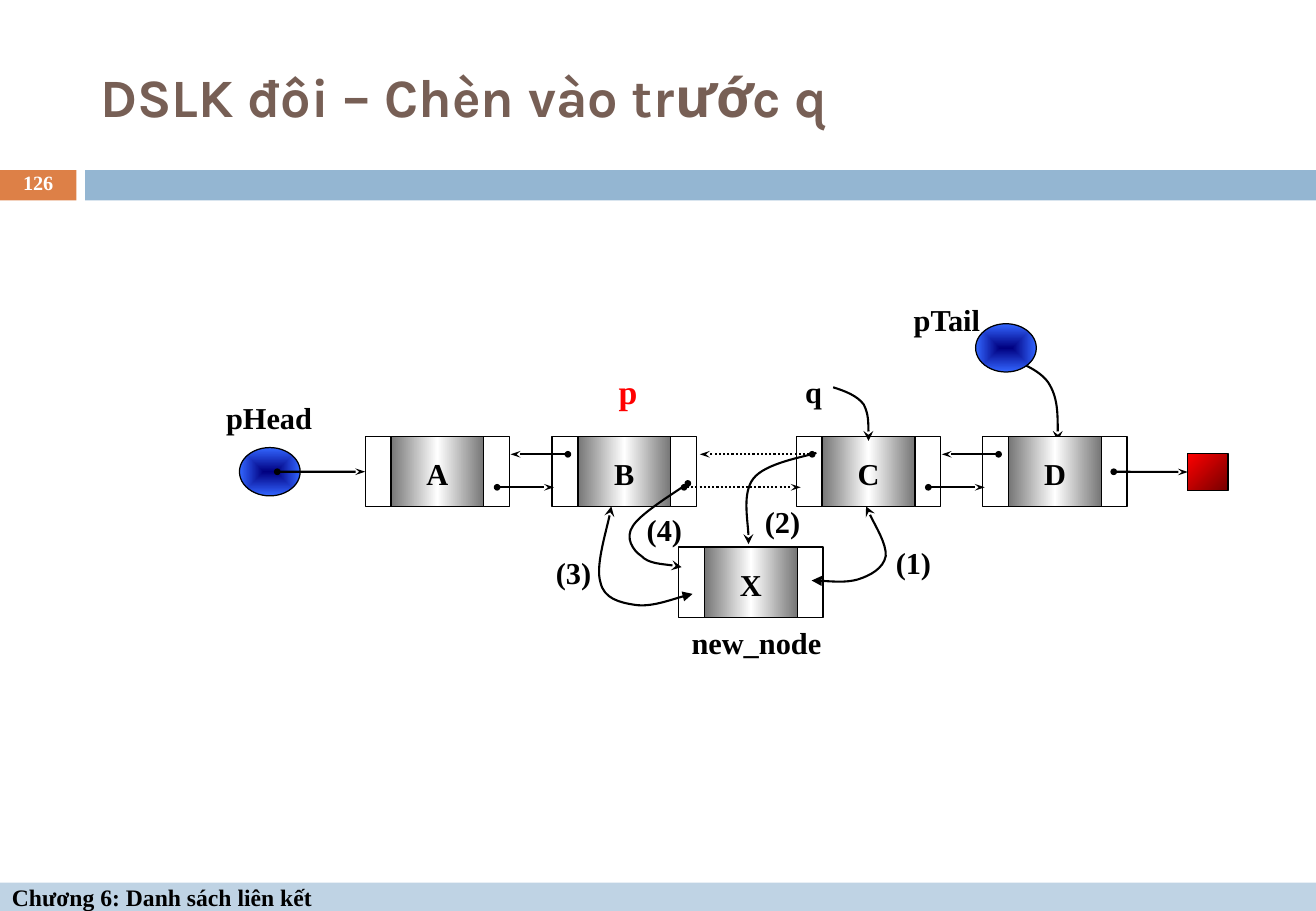
from lxml import etree
from pptx import Presentation
from pptx.dml.color import RGBColor
from pptx.enum.dml import MSO_LINE
from pptx.enum.shapes import MSO_CONNECTOR, MSO_SHAPE
from pptx.enum.text import MSO_ANCHOR, PP_ALIGN
from pptx.oxml.ns import qn
from pptx.util import Cm, Pt

RECTANGLE, OVAL = MSO_SHAPE.RECTANGLE, MSO_SHAPE.OVAL
STRAIGHT = MSO_CONNECTOR.STRAIGHT
DOTTED = MSO_LINE.ROUND_DOT
MIDDLE = MSO_ANCHOR.MIDDLE
LEFT, CENTER = PP_ALIGN.LEFT, PP_ALIGN.CENTER
LEFT_SIDE = 1

SERIF = {"name": "Times New Roman", "bold": True}
BLACK, WHITE = "000000", "FFFFFF"
STEEL = ([(0, "767676"), (50, WHITE), (100, "767676")], 0)
BLUE_GLOW = ([(0, "000080"), (100, "3366FF")], None)
RED_FADE = ([(0, "FF0000"), (100, "760000")], 45)

# Measures in cm
PADDING = (0.25, 0.13, 0.25, 0.13)
CELL, DATA, NODE_HEIGHT = 0.54, 1.94, 1.47
ROW_TOP = 3.13
ROW_MIDDLE = ROW_TOP + NODE_HEIGHT / 2


def color(value):
    return RGBColor.from_string(value)


def write_text(shape, text, size, ink=BLACK, align=CENTER, margins=(0, 0, 0, 0), font=SERIF):
    frame = shape.text_frame
    frame.word_wrap = True
    frame.vertical_anchor = MIDDLE
    for side, margin in zip(("left", "top", "right", "bottom"), margins):
        setattr(frame, f"margin_{side}", Cm(margin))
    para = frame.paragraphs[0]
    para.alignment = align
    span = para.add_run()
    span.text = text
    for key, value in {**font, "size": Pt(size)}.items():
        setattr(span.font, key, value)
    span.font.color.rgb = color(ink)
    return para


def add_text(page, box, text, size, **options):
    return write_text(page.shapes.add_textbox(*map(Cm, box)), text, size, **options)


def set_gradient(shape, stops, angle):
    """A straight gradient at an angle, or one from the centre if angle is None."""
    shape.fill.gradient()
    gradient = shape._element.spPr.find(qn("a:gradFill"))
    for child in list(gradient):
        gradient.remove(child)
    stop_list = etree.SubElement(gradient, qn("a:gsLst"))
    for position, value in stops:
        stop = etree.SubElement(stop_list, qn("a:gs"), pos=str(position * 1000))
        etree.SubElement(stop, qn("a:srgbClr"), val=value)
    if angle is None:
        glow = etree.SubElement(gradient, qn("a:path"), {"path": "rect"})
        etree.SubElement(glow, qn("a:fillToRect"), {side: "50000" for side in "ltrb"})
    else:
        etree.SubElement(gradient, qn("a:lin"), ang=str(angle * 60000), scaled="0")


def add_block(page, kind, box, fill=None, outlined=True):
    shape = page.shapes.add_shape(kind, *map(Cm, box))
    shape.shadow.inherit = False
    if fill is None:
        shape.fill.background()
    elif isinstance(fill, tuple):
        set_gradient(shape, *fill)
    else:
        shape.fill.solid()
        shape.fill.fore_color.rgb = color(fill)
    if outlined:
        shape.line.color.rgb = color(BLACK)
        shape.line.width = Pt(0.75)
    else:
        shape.line.fill.background()
    return shape


def style_arrow(shape, head, tail_width, dash=None):
    shape.line.color.rgb = color(BLACK)
    shape.line.width = Pt(1.25)
    if dash is not None:
        shape.line.dash_style = dash
    outline = shape._element.spPr.find(qn("a:ln"))
    head_size = "sm" if head == "oval" else "med"
    etree.SubElement(outline, qn("a:headEnd"), type=head, w=head_size, len=head_size)
    etree.SubElement(outline, qn("a:tailEnd"), type="stealth", w=tail_width, len="med")


def add_link(page, start, end, dash=None, target=None):
    link = page.shapes.add_connector(STRAIGHT, *map(Cm, start + end))
    if target is not None:
        link.end_connect(target, LEFT_SIDE)
    style_arrow(link, "oval", "sm", dash)
    etree.SubElement(link._element.spPr, qn("a:effectLst"))


def add_curve(page, origin, points, head="none"):
    """Cubic curves: a start point, then two controls and an end for each piece."""
    points = [(Cm(origin[0] + x), Cm(origin[1] + y)) for x, y in points]
    anchors = points[::3]
    builder = page.shapes.build_freeform(*anchors[0])
    builder.add_line_segments(anchors[1:], close=False)
    curve = builder.convert_to_shape()
    curve.shadow.inherit = False
    curve.fill.background()
    # Turn each straight piece into a cubic one
    for index, piece in enumerate(list(curve._element.iter(qn("a:lnTo")))):
        piece.tag = qn("a:cubicBezTo")
        end = piece[0]
        for x, y in points[3 * index + 1:3 * index + 3]:
            control = etree.Element(qn("a:pt"), x=str(x - curve.left), y=str(y - curve.top))
            end.addprevious(control)
    style_arrow(curve, head, "med")


def add_node(page, left, top, name, cell_fill=None):
    """Draws previous, data and next cells; returns the first of them."""
    cells = [add_block(page, RECTANGLE, (x, top, CELL, NODE_HEIGHT), cell_fill)
             for x in (left, left + CELL + DATA)]
    data = add_block(page, RECTANGLE, (left + CELL, top, DATA, NODE_HEIGHT), STEEL)
    write_text(data, name, 18, margins=(0, 0.08, 0, 0))
    return cells[0]


def draw_header(page, box):
    left, top, width, height = box
    add_text(page, (left + 1.85, top + 0.64, 24.54, 2.74), "DSLK đôi – Chèn vào trước q", 32,
             ink="775F55", align=LEFT, margins=PADDING, font={"name": "Karla", "bold": True})
    bar_top = top + height - 0.63
    for x, bar_width, fill in ((0, 1.6, "DD8047"), (1.78, width - 1.78, "94B6D2")):
        add_block(page, RECTANGLE, (left + x, bar_top, bar_width, 0.63), fill, outlined=False)
    number = add_text(page, (left, bar_top - 0.03, 1.6, 0.67), "126", 12, ink=WHITE, margins=PADDING)
    number.line_spacing = 0.8


def draw_footer(page, box):
    bar = add_block(page, RECTANGLE, box, "BFD3E4", outlined=False)
    write_text(bar, "Chương 6: Danh sách liên kết", 14, align=LEFT, margins=PADDING)


def draw_list(page, box):
    left, top = box[:2]

    def at(x, y):
        return left + x, top + y

    # Tail pointer's curve lies behind node D
    add_curve(page, (left, top), [(16.9, 1.42), (17.31, 1.57), (17.72, 1.72), (17.92, 2.0),
                                  (18.12, 2.31), (18.12, 2.76), (18.12, 3.22)])

    # Nodes
    node_lefts = {"A": 3.63, "B": 7.54, "C": 12.65, "D": 16.55}
    first_cells = {name: add_node(page, *at(x, ROW_TOP), name) for name, x in node_lefts.items()}
    add_node(page, *at(10.19, 5.44), "X", WHITE)
    null_end = add_block(page, RECTANGLE, (*at(20.84, 3.48), 0.84, 0.78), RED_FADE)
    add_block(page, OVAL, (*at(1.0, 3.36), 1.27, 1.01), BLUE_GLOW)

    # Next and previous links; the pair between B and C is being replaced
    names = list(node_lefts)
    for name, following in zip(names, names[1:]):
        x, next_x = node_lefts[name], node_lefts[following]
        dash, slack = (DOTTED, 0.05) if name == "B" else (None, 0)
        add_link(page, at(x + 2.76, 4.19), at(next_x + 0.04 + slack, 4.19), dash)
        add_link(page, at(next_x + 0.33, 3.5), at(x + 3.04 + slack, 3.5), dash)
    add_link(page, at(1.79, ROW_MIDDLE), at(3.63, ROW_MIDDLE), target=first_cells["A"])
    add_link(page, at(19.29, ROW_MIDDLE), at(20.84, ROW_MIDDLE), target=null_end)

    # Curves: q, then steps (1) to (4)
    curves = [
        ("none", [(13.42, 2.1), (13.68, 2.18), (13.93, 2.28), (14.06, 2.46),
                  (14.16, 2.66), (14.16, 2.94), (14.16, 3.22)]),
        ("triangle", [(12.97, 6.14), (13.12, 6.14), (13.68, 6.19), (13.93, 6.12),
                      (14.19, 6.04), (14.47, 5.89), (14.52, 5.63),
                      (14.54, 5.38), (14.19, 4.8), (14.11, 4.59)]),
        ("none", [(13.07, 3.47), (12.84, 3.55), (12.0, 3.68), (11.75, 4.01),
                  (11.52, 4.31), (11.67, 5.1), (11.65, 5.38)]),
        ("triangle", [(10.48, 6.42), (10.3, 6.45), (9.61, 6.7), (9.28, 6.65),
                      (8.95, 6.6), (8.62, 6.52), (8.55, 6.17),
                      (8.45, 5.84), (8.73, 4.92), (8.78, 4.59)]),
        ("oval", [(10.38, 4.11), (10.17, 4.26), (9.39, 4.74), (9.23, 5.0),
                  (9.06, 5.25), (9.23, 5.51), (9.41, 5.63),
                  (9.56, 5.79), (10.07, 5.81), (10.25, 5.86)]),
    ]
    for head, points in curves:
        add_curve(page, (left, top), points, head)

    # Labels
    labels = [
        ("pHead", 0.39, 2.2, 2.46, 1.07), ("pTail", 14.57, 0.15, 2.46, 1.07),
        ("q", 12.26, 1.62, 1.5, 1.12), ("new_node", 10.2, 6.92, 3.23, 1.02),
        ("(1)", 14.39, 5.28, 1.42, 0.96), ("(2)", 11.65, 4.42, 1.42, 0.96),
        ("(3)", 7.28, 5.48, 1.42, 0.96), ("(4)", 9.18, 4.59, 1.42, 0.96),
    ]
    for text, x, y, width, height in labels:
        add_text(page, (*at(x, y), width, height), text, 18)
    add_text(page, (*at(8.38, 1.62), 1.5, 1.12), "p", 20, ink="FF0000")
    add_block(page, OVAL, (*at(16.4, 0.77), 1.27, 1.01), BLUE_GLOW)


def main():
    deck = Presentation()
    deck.slide_width, deck.slide_height = Cm(27.53), Cm(19.05)
    page = deck.slides.add_slide(deck.slide_layouts[6])
    draw_header(page, (0, 0, 27.53, 4.19))
    draw_footer(page, (0, 18.46, 27.53, 0.59))
    draw_list(page, (4.01, 6, 22, 8))
    deck.save("out.pptx")


if __name__ == "__main__":
    main()
